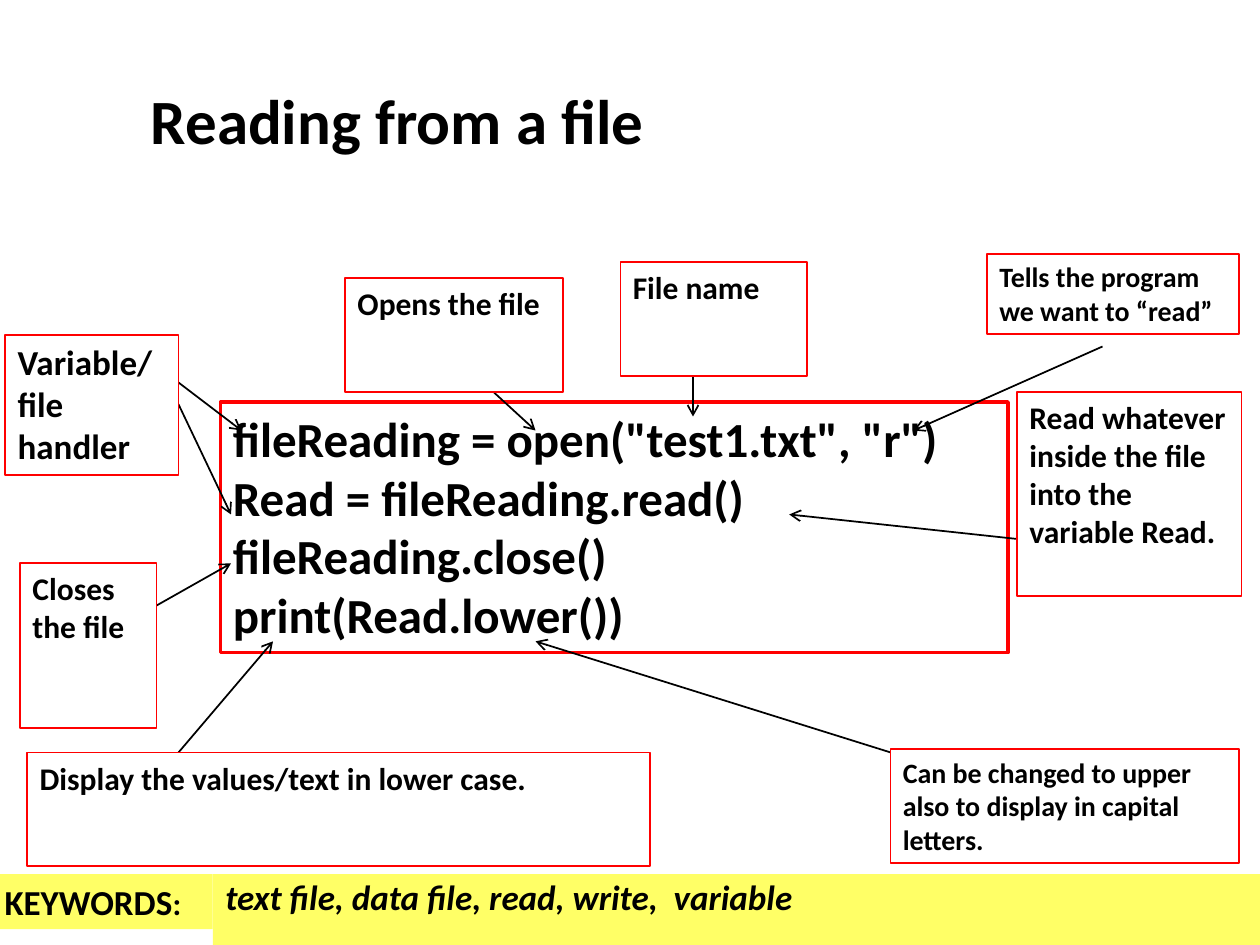
from lxml import etree
from pptx import Presentation
from pptx.dml.color import RGBColor
from pptx.enum.shapes import MSO_CONNECTOR
from pptx.enum.text import MSO_ANCHOR
from pptx.oxml.ns import qn
from pptx.util import Pt

STRAIGHT = MSO_CONNECTOR.STRAIGHT
TOP, MIDDLE = MSO_ANCHOR.TOP, MSO_ANCHOR.MIDDLE
FONT = "Calibri"
COLORS = {"ink": "000000", "paper": "FFFFFF", "frame": "FF0000", "band": "FFFF66"}

TITLE = "Reading from a file"
KEYWORDS = "text file, data file, read, write,  variable"
CODE = [
    'fileReading = open("test1.txt", "r")',
    "Read = fileReading.read()",
    "fileReading.close()",
    "print(Read.lower())",
]

# text, (left, top, width, height), font size
NOTES = [
    ("Variable/ file handler", (3, 191.3, 99, 80), 20),
    ("Opens the file", (197.2, 159, 124.5, 65), 18),
    ("File name", (354.5, 149.7, 106.5, 65), 18),
    ("Tells the program we want to “read”", (564, 145, 144, 46), 16),
    ("Display the values/text in lower case.", (15.6, 430, 355.7, 65), 18),
    ("Read whatever inside the file into the variable Read.", (581.2, 224, 128.3, 116.5), 18),
    ("Closes the file", (11.5, 321.7, 78, 94.5), 18),
    ("Can be changed to upper also to display in capital letters.", (508.8, 428, 199.2, 65), 16),
]

# from (x, y), to (x, y)
ARROWS = [
    ((96, 214), (138, 246)),
    ((102, 231), (132, 294)),
    ((630, 198), (522, 246)),
    ((396, 190), (396, 238)),
    ((600, 310), (451, 294)),
    ((509, 430), (306, 366.5)),
    ((258, 202), (306, 246)),
    ((86, 348), (132, 322)),
    ((102, 430), (156, 366.5)),
]


def color(name):
    return RGBColor.from_string(COLORS[name])


def add_span(para, text, size, italic=False):
    span = para.add_run()
    span.text = text
    font = span.font
    font.name, font.size, font.bold, font.italic = FONT, Pt(size), True, italic
    font.color.rgb = color("ink")


def add_box(slide, lines, place, size, fill=None, line_width=None,
            anchor=TOP, spacing=1.0, italic=False):
    box = slide.shapes.add_textbox(*map(Pt, place))
    if fill:
        box.fill.solid()
        box.fill.fore_color.rgb = color(fill)
    if line_width:
        box.line.color.rgb = color("frame")
        box.line.width = Pt(line_width)
    frame = box.text_frame
    frame.word_wrap = True
    frame.vertical_anchor = anchor
    for index, text in enumerate(lines):
        para = frame.add_paragraph() if index else frame.paragraphs[0]
        para.line_spacing = spacing
        add_span(para, text, size, italic)
    return box


def add_arrow(slide, start, end):
    arrow = slide.shapes.add_connector(STRAIGHT, *map(Pt, start + end))
    arrow.line.color.rgb = color("ink")
    arrow.line.width = Pt(1)
    etree.SubElement(arrow.line._get_or_add_ln(), qn("a:tailEnd"), type="arrow")
    etree.SubElement(arrow._element.spPr, qn("a:effectLst"))


def main():
    deck = Presentation()
    deck.slide_width, deck.slide_height = Pt(720), Pt(540)
    slide = deck.slides.add_slide(deck.slide_layouts[6])

    label = add_box(slide, ["KEYWORDS"], (-4.5, 499.5, 126, 31.5), 20, fill="band")
    add_span(label.text_frame.paragraphs[0], ":", 18)
    add_box(slide, [TITLE], (79.2, 25.9, 484.6, 90), 36, anchor=MIDDLE, spacing=0.9)
    add_box(slide, [KEYWORDS], (121.7, 499.5, 598.3, 40.5), 20,
            fill="band", spacing=0.9, italic=True)
    add_box(slide, CODE, (126, 229.7, 450, 143.3), 28, fill="paper", line_width=2)

    for start, end in ARROWS:
        add_arrow(slide, start, end)
    for text, place, size in NOTES:
        add_box(slide, [text], place, size, fill="paper", line_width=1)

    deck.save("out.pptx")


if __name__ == "__main__":
    main()
